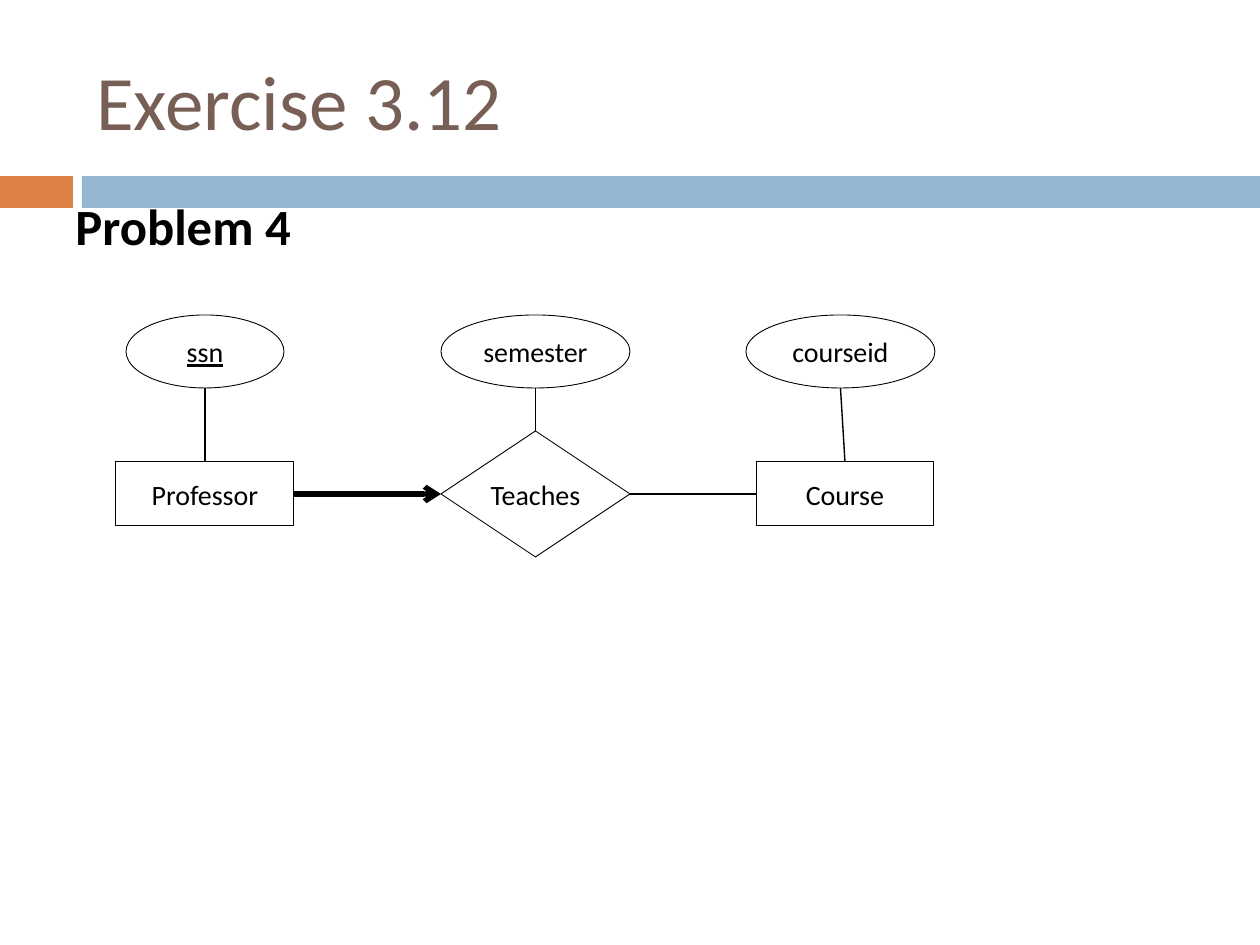
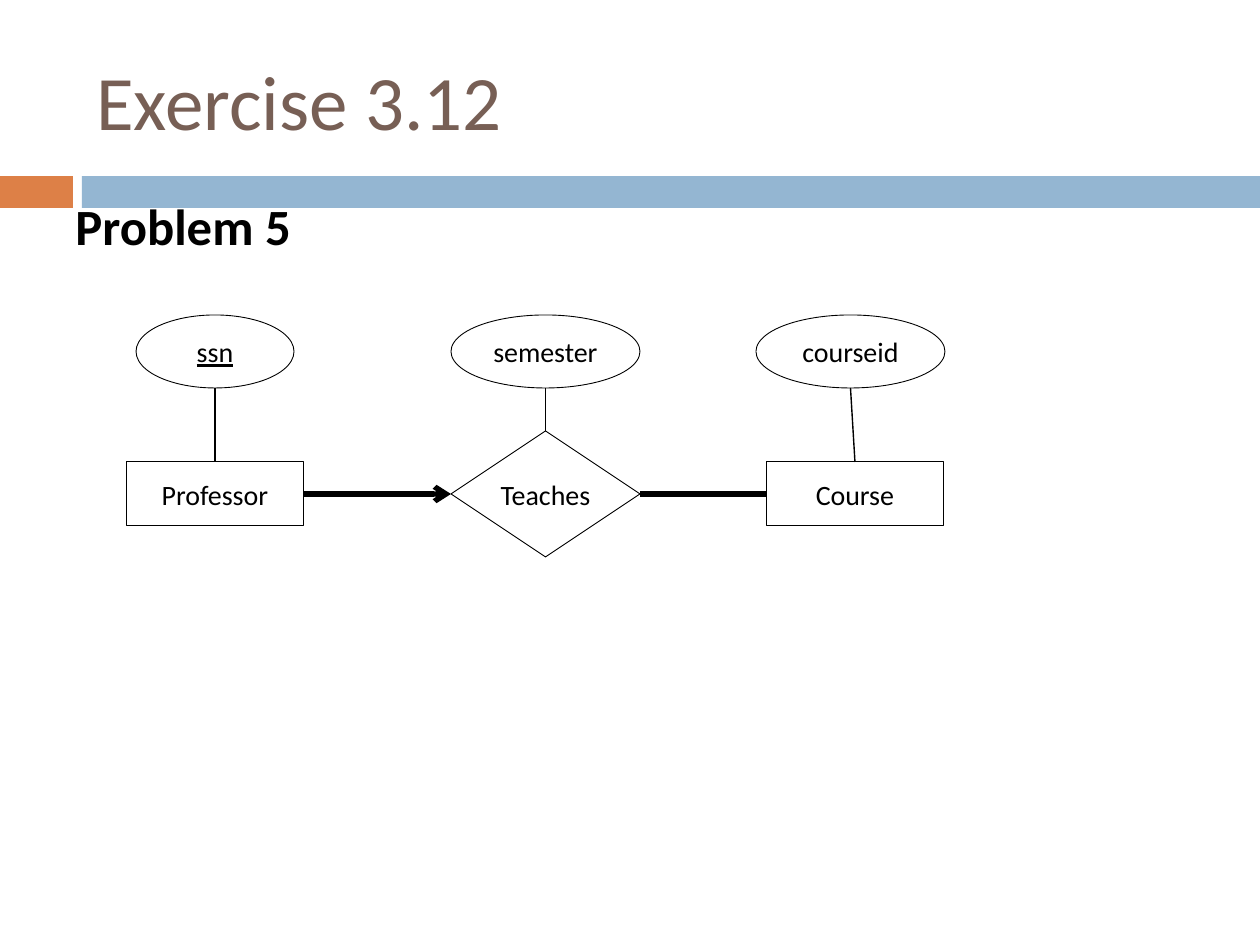
"""Build two slides of entity diagrams for Exercise 3.12."""
from dataclasses import dataclass

from lxml.etree import SubElement
from pptx import Presentation
from pptx.dml.color import RGBColor
from pptx.enum.shapes import MSO_CONNECTOR, MSO_SHAPE
from pptx.enum.text import MSO_ANCHOR, PP_ALIGN
from pptx.oxml.ns import qn
from pptx.util import Emu, Pt

SCALE = 914400 / 126
TOP, LEFT, BOTTOM, RIGHT = range(4)


@dataclass(frozen=True)
class Theme:
    """Hold the colours, font and sizes that the slides share."""
    face: str = "Calibri"
    ink: str = "000000"
    paper: str = "FFFFFF"
    brown: str = "775F55"
    orange: str = "DD8047"
    blue: str = "94B6D2"
    title: int = 44
    head: int = 29
    label: int = 16
    edge: float = 0.5
    thin: float = 0.79
    thick: float = 3


THEME = Theme()


def px(*marks):
    """Turn px lengths into EMU."""
    return [Emu(round(mark * SCALE)) for mark in marks]


def apply(target, values):
    """Set each format value on the target."""
    for name, value in values.items():
        setattr(target, name, value)


def write(shape, text, size, color, frame, align=PP_ALIGN.LEFT, **font):
    """Put one styled line of text in a shape."""
    apply(shape.text_frame, frame)
    line = shape.text_frame.paragraphs[0]
    line.text, line.alignment = text, align
    style = line.runs[0].font
    apply(style, {"name": THEME.face, "size": Pt(size), **font})
    style.color.rgb = RGBColor.from_string(color)


def add_text(slide, box, text, size, color, anchor, **font):
    """Add a text box."""
    shape = slide.shapes.add_textbox(*px(*box))
    frame = {"word_wrap": True, "vertical_anchor": anchor}
    write(shape, text, size, color, frame, **font)


def add_form(slide, kind, box, fill):
    """Add a flat preset shape without an outline."""
    shape = slide.shapes.add_shape(kind, *px(*box))
    shape.shadow.inherit = False
    shape.fill.solid()
    shape.fill.fore_color.rgb = RGBColor.from_string(fill)
    shape.line.fill.background()
    return shape


def paint(line, width):
    """Give a line its ink and width."""
    line.color.rgb = RGBColor.from_string(THEME.ink)
    line.width = Pt(width)


def add_node(slide, kind, box, text, **font):
    """Add an outlined diagram node with a label."""
    node = add_form(slide, kind, box, THEME.paper)
    paint(node.line, THEME.edge)
    frame = {"word_wrap": False, "vertical_anchor": MSO_ANCHOR.MIDDLE}
    frame.update({f"margin_{side}": 0
                  for side in ("left", "right", "top", "bottom")})
    write(node, text, THEME.label, THEME.ink, frame, PP_ALIGN.CENTER, **font)
    return node


def find_spot(node, side):
    """Find the middle of one side of a node."""
    across = {LEFT: 0, RIGHT: node.width}.get(side, node.width // 2)
    down = {TOP: 0, BOTTOM: node.height}.get(side, node.height // 2)
    return Emu(node.left + across), Emu(node.top + down)


def add_link(slide, start, out, end, into, width, arrow=False):
    """Link two nodes, gluing each end that is not on an ellipse."""
    link = slide.shapes.add_connector(
        MSO_CONNECTOR.STRAIGHT, *find_spot(start, out), *find_spot(end, into))
    for node, side, join in ((start, out, link.begin_connect),
                             (end, into, link.end_connect)):
        if node.auto_shape_type != MSO_SHAPE.OVAL:
            join(node, side)
    paint(link.line, width)
    props = link.element.spPr
    if arrow:
        SubElement(props.find(qn("a:ln")), qn("a:tailEnd"), type="arrow")
    SubElement(props, qn("a:effectLst"))


def add_frame(slide, head):
    """Add the bands, the title and the heading."""
    for left, width, fill in ((0, 73, THEME.orange), (82, 1178, THEME.blue)):
        add_form(slide, MSO_SHAPE.RECTANGLE, (left, 176, width, 32), fill)
    add_text(slide, (84, 32, 1124, 136), "Exercise 3.12", THEME.title,
             THEME.brown, MSO_ANCHOR.MIDDLE)
    add_text(slide, (63, 189, 305, 94), head, THEME.head, THEME.ink,
             MSO_ANCHOR.TOP, bold=True)


def add_chain(slide, shift, width):
    """Add the diagram, with the given shift and course link width."""
    def block(left, text):
        """Add an entity."""
        box = (left + shift, 462, 178, 64)
        return add_node(slide, MSO_SHAPE.RECTANGLE, box, text)

    def oval(left, wide, text, **font):
        """Add an attribute."""
        box = (left + shift, 315, wide, 73)
        return add_node(slide, MSO_SHAPE.OVAL, box, text, **font)

    prof = block(116, "Professor")
    teach = add_node(slide, MSO_SHAPE.DIAMOND, (441 + shift, 431, 189, 126),
                     "Teaches")
    course = block(756, "Course")
    pairs = ((oval(126, 158, "ssn", underline=True), prof),
             (oval(441, 189, "semester"), teach),
             (oval(746, 189, "courseid"), course))
    for trait, owner in pairs:
        add_link(slide, trait, BOTTOM, owner, TOP, THEME.thin)
    add_link(slide, prof, RIGHT, teach, LEFT, THEME.thick, arrow=True)
    add_link(slide, course, LEFT, teach, RIGHT, width)


def main():
    """Build and save the deck."""
    deck = Presentation()
    apply(deck, dict(zip(("slide_width", "slide_height"), px(1260, 945))))
    for head, shift, width in (("Problem 4", 0, THEME.thin),
                               ("Problem 5", 10, THEME.thick)):
        slide = deck.slides.add_slide(deck.slide_layouts[6])
        add_frame(slide, head)
        add_chain(slide, shift, width)
    deck.save("out.pptx")


if __name__ == "__main__":
    main()
